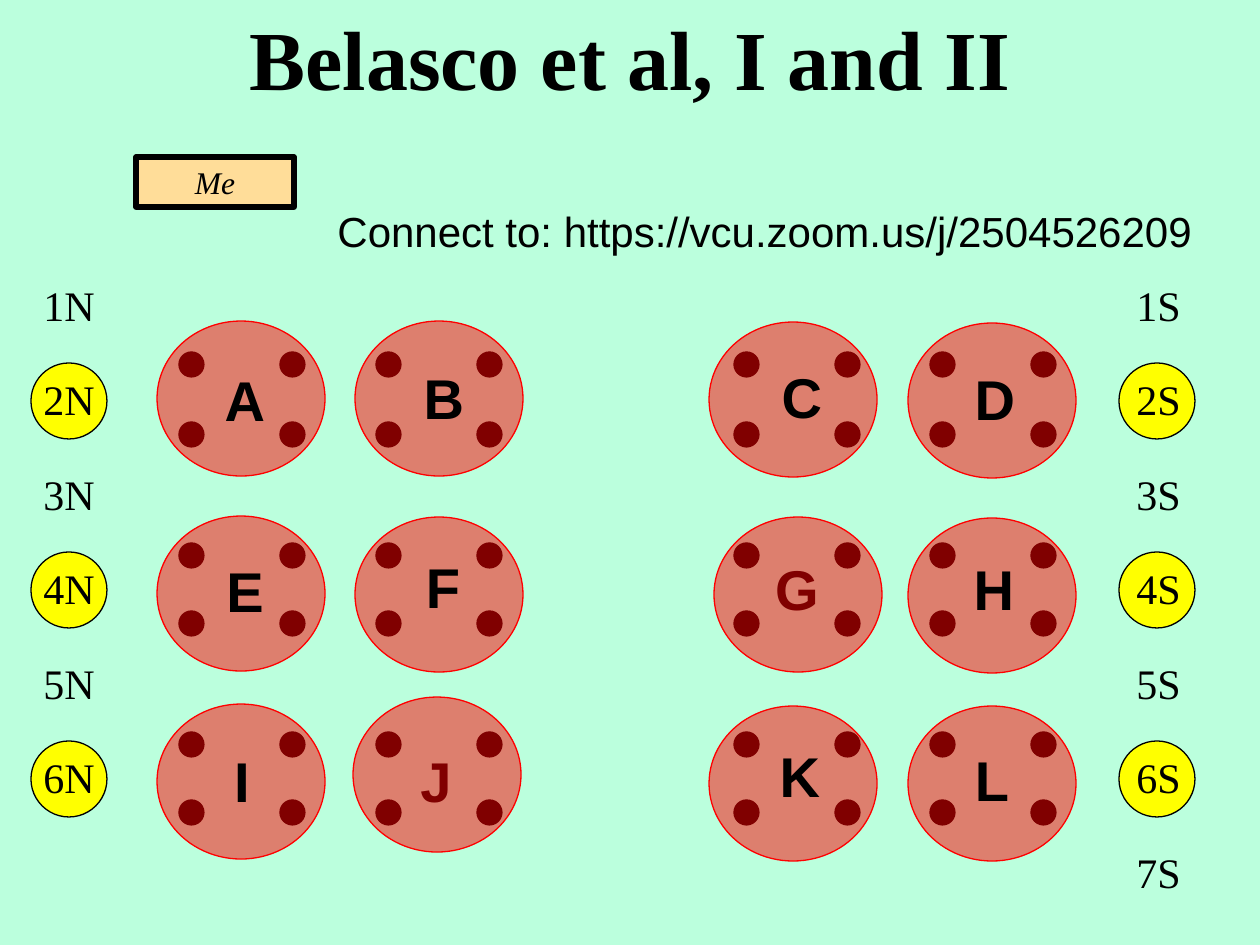
from dataclasses import dataclass
from itertools import product

from lxml import etree
from pptx import Presentation
from pptx.dml.color import RGBColor
from pptx.enum.shapes import MSO_SHAPE
from pptx.enum.text import MSO_ANCHOR, MSO_AUTO_SIZE, PP_ALIGN
from pptx.oxml.ns import qn
from pptx.util import Emu, Pt

OVAL = MSO_SHAPE.OVAL
RECTANGLE = MSO_SHAPE.RECTANGLE
TOP = MSO_ANCHOR.TOP
MIDDLE = MSO_ANCHOR.MIDDLE
NO_AUTOFIT = MSO_AUTO_SIZE.NONE
LEFT = PP_ALIGN.LEFT
CENTER = PP_ALIGN.CENTER

EMU_PER_PX = 914400 / 126
COLORS = {
    "mint": "BBFFDD",
    "yellow": "FFFF00",
    "peach": "FFDD99",
    "red": "FF0000",
    "black": "000000",
}
SERIF = "Times New Roman"
SANS = "Arial"

TABLE_WIDTH, TABLE_HEIGHT = 168, 155
LETTER_WIDTH, LETTER_HEIGHT = 112, 81
SEAT_SIZE = 25
SEAT_COLUMNS = (179, 280, 376, 477, 734, 835, 930, 1031)
SEAT_ROWS = (352, 422, 543, 611, 732, 800)
STATION_SIZE = 76
STATION_TOP = 363
LABEL_TOP = 273
STATION_STEP = 189


@dataclass(frozen=True)
class Box:
    left: int
    top: int
    width: int
    height: int


@dataclass(frozen=True)
class Style:
    font: str
    size: int
    bold: bool = False
    italic: bool = False
    align: PP_ALIGN = LEFT
    anchor: MSO_ANCHOR = TOP


@dataclass(frozen=True)
class Table:
    letter: str
    left: int
    top: int
    letter_x: int
    letter_y: int
    covers_letter: bool = False


@dataclass(frozen=True)
class Wall:
    side: str
    count: int
    label_left: int
    station_left: int


TABLES = (
    Table("A", 157, 321, 245, 399),
    Table("B", 355, 321, 444, 397),
    Table("C", 709, 322, 802, 396),
    Table("D", 908, 323, 995, 398),
    Table("E", 157, 516, 245, 590),
    Table("F", 355, 517, 443, 586),
    Table("G", 714, 517, 797, 588, covers_letter=True),
    Table("H", 908, 518, 994, 588),
    Table("I", 157, 704, 242, 780),
    Table("J", 353, 697, 436, 780, covers_letter=True),
    Table("K", 709, 706, 800, 775),
    Table("L", 908, 706, 992, 779),
)
WALLS = (Wall("N", 6, 31, 31), Wall("S", 7, 1124, 1119))

TITLE_STYLE = Style(SERIF, 48, bold=True, align=CENTER)
ME_STYLE = Style(SERIF, 18, italic=True, align=CENTER, anchor=MIDDLE)
LABEL_STYLE = Style(SERIF, 24)
LINK_STYLE = Style(SANS, 24)
LETTER_STYLE = Style(SANS, 32, bold=True, align=CENTER)


def px(length: int) -> Emu:
    return Emu(round(length * EMU_PER_PX))


def color(key: str) -> RGBColor:
    return RGBColor.from_string(COLORS[key])


def edges(box: Box) -> tuple[Emu, Emu, Emu, Emu]:
    return px(box.left), px(box.top), px(box.width), px(box.height)


def write(frame, text: str, style: Style) -> None:
    frame.word_wrap = True
    frame.auto_size = NO_AUTOFIT
    frame.vertical_anchor = style.anchor
    paragraph = frame.paragraphs[0]
    paragraph.alignment = style.align
    paragraph.space_before = Pt(0)
    run = paragraph.add_run()
    run.text = text
    run.font.name = style.font
    run.font.size = Pt(style.size)
    run.font.bold = style.bold
    run.font.italic = style.italic
    run.font.color.rgb = color("black")


def add_text(slide, box: Box, text: str, style: Style) -> None:
    write(slide.shapes.add_textbox(*edges(box)).text_frame, text, style)


def add_figure(slide, kind: MSO_SHAPE, box: Box, fill: str, line: str,
               line_width: float = 0.75, opacity: int = 100):
    figure = slide.shapes.add_shape(kind, *edges(box))
    figure.shadow.inherit = False
    figure.fill.solid()
    figure.fill.fore_color.rgb = color(fill)
    figure.line.color.rgb = color(line)
    figure.line.width = Pt(line_width)
    if opacity < 100:
        tint = figure._element.spPr.find(qn("a:solidFill")).find(qn("a:srgbClr"))
        etree.SubElement(tint, qn("a:alpha")).set("val", str(opacity * 1000))
    return figure


def add_wall(slide, wall: Wall) -> None:
    for station in range(3):
        top = STATION_TOP + station * STATION_STEP
        add_figure(slide, OVAL, Box(wall.station_left, top, STATION_SIZE, STATION_SIZE),
                   "yellow", "black")
    for index in range(wall.count):
        top = LABEL_TOP + index * STATION_STEP // 2
        add_text(slide, Box(wall.label_left, top, 84, 63), f"{index + 1}{wall.side}", LABEL_STYLE)


def add_letter(slide, table: Table) -> None:
    box = Box(table.letter_x - LETTER_WIDTH // 2, table.letter_y - LETTER_HEIGHT // 2,
              LETTER_WIDTH, LETTER_HEIGHT)
    add_text(slide, box, table.letter, LETTER_STYLE)


def add_table_top(slide, table: Table) -> None:
    if table.covers_letter:
        add_letter(slide, table)
    add_figure(slide, OVAL, Box(table.left, table.top, TABLE_WIDTH, TABLE_HEIGHT),
               "red", "red", opacity=50)
    if not table.covers_letter:
        add_letter(slide, table)


def main() -> None:
    deck = Presentation()
    deck.slide_width, deck.slide_height = px(1260), px(945)
    slide = deck.slides.add_slide(deck.slide_layouts[5])
    slide.background.fill.solid()
    slide.background.fill.fore_color.rgb = color("mint")

    title = slide.shapes.title
    title.left, title.top, title.width, title.height = edges(Box(110, 0, 1040, 115))
    write(title.text_frame, "Belasco et al, I and II", TITLE_STYLE)

    me = add_figure(slide, RECTANGLE, Box(136, 157, 158, 50), "peach", "black", line_width=3)
    write(me.text_frame, "Me", ME_STYLE)
    add_text(slide, Box(325, 199, 903, 63),
             "Connect to: https://vcu.zoom.us/j/2504526209", LINK_STYLE)

    for wall in WALLS:
        add_wall(slide, wall)
    for top, left in product(SEAT_ROWS, SEAT_COLUMNS):
        add_figure(slide, OVAL, Box(left, top, SEAT_SIZE, SEAT_SIZE), "black", "black")
    for table in TABLES:
        add_table_top(slide, table)

    deck.save("out.pptx")


if __name__ == "__main__":
    main()
